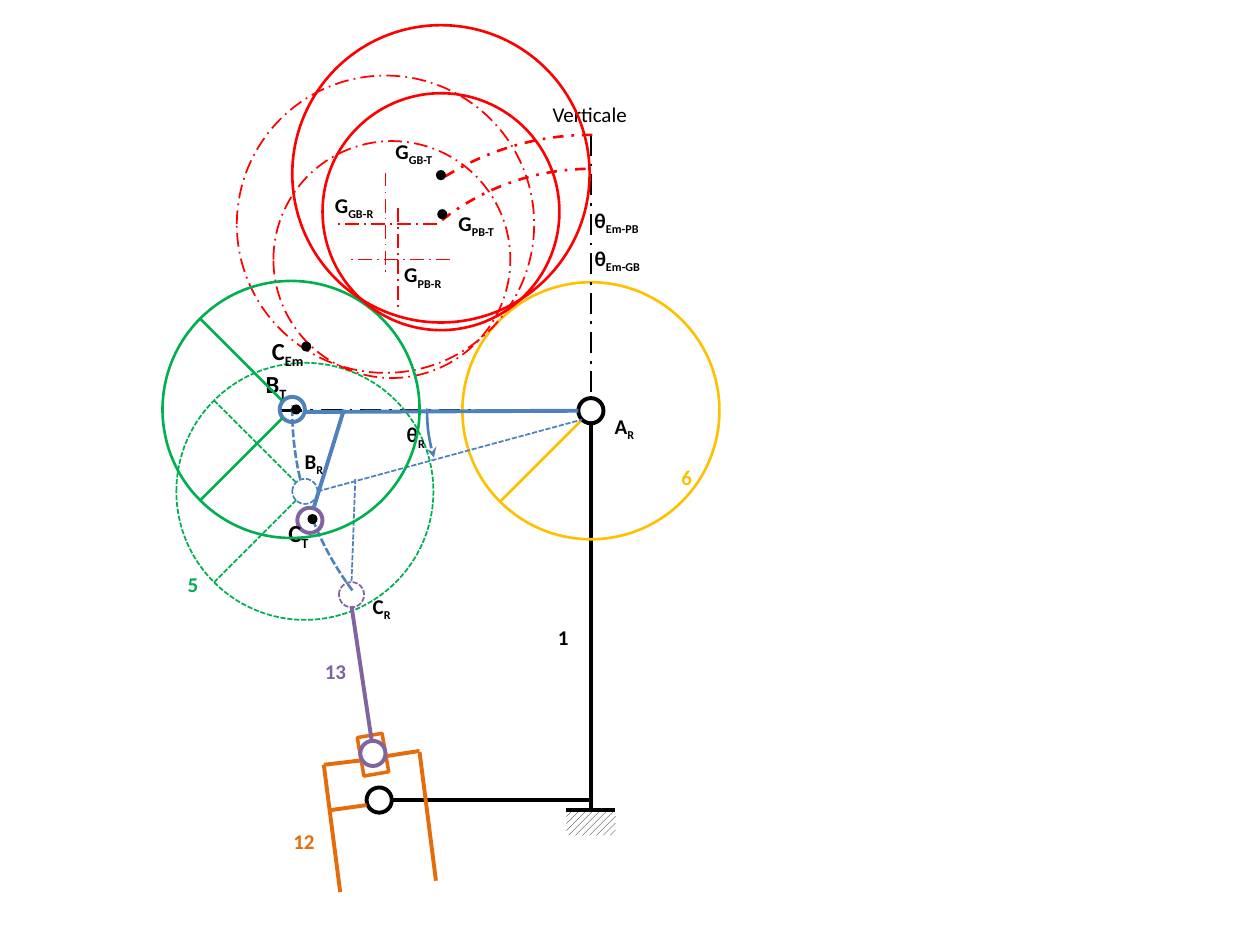
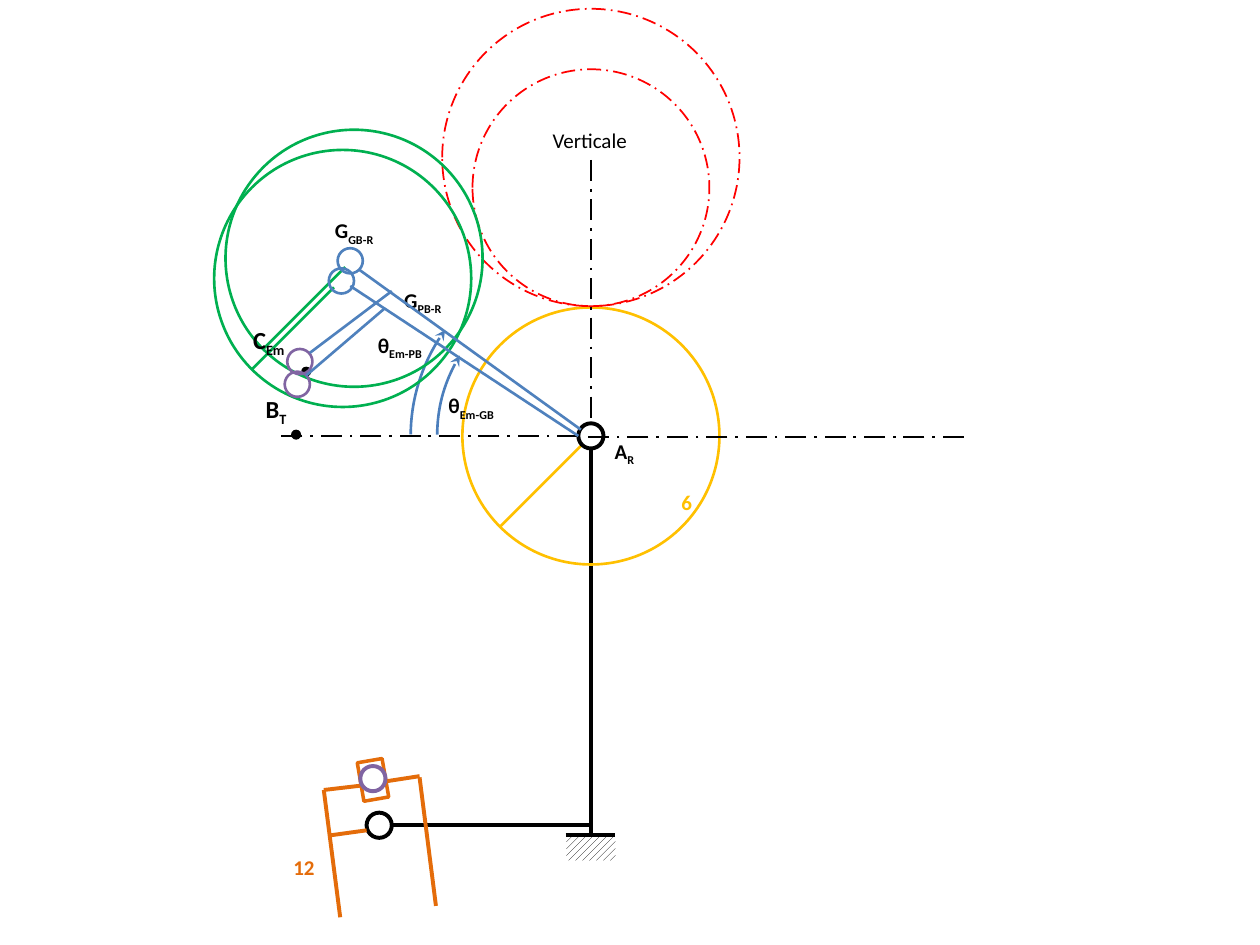
from dataclasses import dataclass

from lxml import etree
from pptx import Presentation
from pptx.dml.color import RGBColor
from pptx.enum.dml import MSO_LINE, MSO_PATTERN
from pptx.enum.shapes import MSO_CONNECTOR, MSO_SHAPE
from pptx.enum.text import MSO_AUTO_SIZE, PP_ALIGN
from pptx.oxml.ns import qn
from pptx.util import Inches, Pt

OVAL, RECT, ARC = MSO_SHAPE.OVAL, MSO_SHAPE.RECTANGLE, MSO_SHAPE.ARC
STRAIGHT = MSO_CONNECTOR.STRAIGHT
HATCH = MSO_PATTERN.WIDE_UPWARD_DIAGONAL
GROW = MSO_AUTO_SIZE.SHAPE_TO_FIT_TEXT
LEFT, CENTER = PP_ALIGN.LEFT, PP_ALIGN.CENTER
SHORT, LONG, MIXED = MSO_LINE.SQUARE_DOT, MSO_LINE.LONG_DASH_DOT, MSO_LINE.DASH_DOT

COLORS = {
    "black": "000000", "white": "FFFFFF", "orange": "E46C0A", "gold": "FFC000",
    "green": "00B050", "purple": "8064A2", "red": "FF0000", "blue": "4F81BD",
    "angle": "4B7EBC",
}
PENS = {
    "bold": {"width": Pt(2.25)},
    "guide": {"width": Pt(2)},
    "plain": {"width": Pt(1.5)},
    "ghost": {"width": Pt(1), "dash_style": SHORT},
    "path": {"width": Pt(1.5), "dash_style": SHORT},
    "thin": {"width": Pt(1), "dash_style": LONG},
    "axis": {"width": Pt(1.5), "dash_style": LONG},
    "swing": {"width": Pt(1.5), "dash_style": MIXED},
}
PIN, DOT, GEAR = 0.1, 0.04, 1.02
SMALL, BIG = 0.94, 1.18


def rgb(name):
    """Return the named colour."""
    return RGBColor.from_string(COLORS[name])


def ink(line, color, pen):
    """Apply a colour and a pen to a line."""
    line.color.rgb = rgb(color)
    for key, value in PENS[pen].items():
        setattr(line, key, value)


@dataclass
class Board:
    """A drawing area measured in inches from the pivot A."""
    shapes: object
    left: float
    top: float

    def spot(self, x, y):
        """Turn a place relative to the pivot into slide lengths."""
        return Inches(self.left + x), Inches(self.top + y)

    def form(self, kind, x, y, wide, high):
        """Add an unfilled shape centred on a point."""
        place = self.spot(x - wide / 2, y - high / 2)
        shape = self.shapes.add_shape(kind, *place, Inches(wide), Inches(high))
        shape.shadow.inherit = False
        shape.fill.background()
        return shape

    def ring(self, x, y, size, color, pen):
        """Add a circle of the given radius."""
        shape = self.form(OVAL, x, y, 2 * size, 2 * size)
        ink(shape.line, color, pen)
        return shape

    def dot(self, x, y):
        """Add a black point."""
        shape = self.form(OVAL, x, y, 2 * DOT, 2 * DOT)
        shape.fill.solid()
        shape.fill.fore_color.rgb = rgb("black")
        shape.line.fill.background()

    def line(self, start, end, color, pen):
        """Add a straight line between two points."""
        item = self.shapes.add_connector(STRAIGHT, *self.spot(*start), *self.spot(*end))
        ink(item.line, color, pen)
        etree.SubElement(item._element.spPr, qn("a:effectLst"))

    def arc(self, size, start, end, color, pen, tip=None):
        """Add an arc about the pivot, angles in degrees."""
        shape = self.form(ARC, 0, 0, 2 * size, 2 * size)
        for index, angle in enumerate((start, end)):
            shape.adjustments[index] = angle * 0.6
        ink(shape.line, color, pen)
        if tip:
            etree.SubElement(shape.line._get_or_add_ln(), qn(f"a:{tip}"), type="stealth")

    def label(self, text, sub, x, y, wide, color="black", size=12, bold=True, align=LEFT):
        """Add a label with an optional subscript."""
        high = 0.3 if size == 12 else 0.34
        box = self.shapes.add_textbox(*self.spot(x, y), Inches(wide), Inches(high))
        frame = box.text_frame
        frame.word_wrap = align == CENTER
        frame.auto_size = GROW
        para = frame.paragraphs[0]
        para.alignment = align
        style = {"name": "Calibri", "size": Pt(size), "bold": bold}
        for part in filter(None, (text, sub)):
            run = para.add_run()
            run.text = part
            for key, value in style.items():
                setattr(run.font, key, value)
            run.font.color.rgb = rgb(color)
            if part == sub:
                run._r.get_or_add_rPr().set("baseline", "-25000")


def gear(board, x, y, sides, color, pen):
    """Draw a wheel with slanted spokes, 1 for down and -1 for up."""
    board.ring(x, y, GEAR, color, pen)
    for side in sides:
        board.line((x - 0.07, y + 0.07 * side), (x - 0.72, y + 0.72 * side), color, pen)


def arm(board, knee, foot, branch, reach, pen):
    """Draw a bent lever with a pin at each free end."""
    board.ring(*knee, PIN, "blue", pen)
    board.ring(*foot, PIN, "purple", pen)
    for ends in (branch, reach):
        board.line(*ends, "blue", pen)


def coils(board, small, big, pen):
    """Draw the small and the big reel."""
    board.ring(*small, SMALL, "red", pen)
    board.ring(*big, BIG, "red", pen)


def cross(board, x, y):
    """Draw centre lines through a point."""
    half = 0.41
    board.line((x, y - half), (x, y + half), "red", "thin")
    board.line((x + half, y), (x - half, y), "red", "thin")


def base(board):
    """Draw the fixed post, its beam and the ground."""
    ground = board.form(RECT, 0, 3.27, 0.39, 0.2)
    ground.fill.patterned()
    ground.fill.pattern = HATCH
    ground.fill.fore_color.rgb = rgb("black")
    ground.fill.back_color.rgb = rgb("white")
    ground.line.fill.background()
    for start, end in (
        ((0, 0.1), (0, 3.17)),
        ((-1.58, 3.09), (0, 3.09)),
        ((-0.2, 3.17), (0.19, 3.17)),
    ):
        board.line(start, end, "black", "bold")
    board.ring(-1.68, 3.09, PIN, "black", "bold")


def guide(board):
    """Draw the slotted guide 12 and its slider."""
    block = board.form(RECT, -1.73, 2.73, 0.31, 0.2)
    block.rotation = 80.2
    ink(block.line, "orange", "guide")
    for start, end in (
        ((-2.12, 2.81), (-1.99, 3.82)),
        ((-1.36, 2.71), (-1.23, 3.73)),
        ((-1.78, 2.77), (-2.12, 2.81)),
        ((-1.36, 2.7), (-1.62, 2.74)),
        ((-1.78, 3.13), (-2.07, 3.17)),
    ):
        board.line(start, end, "orange", "bold")
    pin = board.ring(-1.73, 2.72, PIN, "purple", "bold")
    pin.fill.solid()
    pin.fill.fore_color.rgb = rgb("white")
    board.label("12", "", -2.46, 3.27, 0.37, "orange")


def pivot(board):
    """Draw wheel 6, pin A, the axes and their labels."""
    gear(board, 0, 0, (1,), "gold", "plain")
    board.ring(0, 0, PIN, "black", "bold")
    board.line((0, -2.19), (0, -0.1), "black", "axis")
    board.line((-0.1, 0), (-2.52, 0), "black", "axis")
    board.label("Verticale", "", -0.67, -2.5, 1.32, bold=False, align=CENTER)
    board.label("6", "", 0.62, 0.38, 0.29, "gold")
    board.label("B", "T", -2.68, -0.38, 0.37, size=14)
    for text, sub, x, y, wide in (
        ("A", "R", 0.09, -0.03, 0.37),
        ("G", "PB-R", -1.58, -1.23, 0.53),
        ("G", "GB-R", -2.13, -1.78, 0.54),
    ):
        board.label(text, sub, x, y, wide)


def marks(board, *more):
    """Draw the fixed points and any further ones."""
    for x, y in ((-2.34, -0.01), (-2.26, -0.51), *more):
        board.dot(x, y)


def start(deck, top):
    """Add a slide with the parts common to both states."""
    slide = deck.slides.add_slide(deck.slide_layouts[6])
    board = Board(slide.shapes, 4.69, top)
    for part in (base, guide, pivot):
        part(board)
    return board


def work(deck):
    """Draw the rest and working states."""
    board = start(deck, 3.26)
    gear(board, -2.27, 0.64, (1, -1), "green", "ghost")
    board.line((-1.9, 1.55), (-1.74, 2.62), "purple", "bold")
    coils(board, (-1.58, -1.2), (-1.63, -1.48), "thin")
    cross(board, -1.63, -1.48)
    cross(board, -1.53, -1.2)
    arm(board, (-2.27, 0.64), (-1.9, 1.46), ((-1.87, 0.54), (-1.9, 1.36)),
        ((-2.17, 0.64), (-0.07, 0.07)), "ghost")
    board.arc(1.3, 163.34, 180.76, "angle", "plain", "headEnd")
    for size, first, last, color, pen in (
        (2.37, 166.84, 181.07, "blue", "path"),
        (2.37, 143, 158.68, "blue", "path"),
        (2.19, 238.1, 270.41, "red", "swing"),
        (1.92, 232.03, 270.31, "red", "swing"),
    ):
        board.arc(size, first, last, color, pen)
    arm(board, (-2.37, -0.01), (-2.23, 0.87), ((-1.96, -0.01), (-2.2, 0.77)),
        ((-2.28, 0.01), (-0.1, 0)), "bold")
    for text, x, y, wide, color in (
        ("5", -3.3, 1.23, 0.29, "green"),
        ("1", -0.36, 1.65, 0.29, "black"),
        ("13", -2.21, 1.92, 0.37, "purple"),
    ):
        board.label(text, "", x, y, wide, color)
    for text, sub, x, y, wide in (
        ("C", "R", -1.83, 1.4, 0.35),
        ("B", "R", -2.37, 0.25, 0.36),
        ("θ", "R", -1.56, 0.04, 0.36),
        ("G", "GB-T", -1.65, -2.21, 0.54),
        ("G", "PB-T", -1.15, -1.64, 0.52),
        ("θ", "Em-GB", -0.07, -1.36, 0.61),
        ("θ", "Em-PB", -0.07, -1.66, 0.6),
    ):
        board.label(text, sub, x, y, wide)
    board.label("C", "T", -2.5, 0.8, 0.37, size=14)
    board.label("C", "Em", -2.63, -0.64, 0.48, size=14)
    marks(board, (-1.19, -1.87), (-1.18, -1.56), (-2.21, 0.86))
    gear(board, -2.38, -0.01, (1, -1), "green", "plain")
    coils(board, (-1.19, -1.58), (-1.19, -1.88), "plain")


def load(deck):
    """Draw the reel loading state."""
    board = start(deck, 3.46)
    coils(board, (0, -1.97), (0, -2.21), "thin")
    board.line((2.96, 0.01), (-0.07, 0.01), "black", "axis")
    for size, last in ((1.22, 211.47), (1.43, 216)):
        board.arc(size, 180.5, last, "angle", "plain", "tailEnd")
    marks(board)
    for x, y in ((-1.88, -1.41), (-1.97, -1.25)):
        gear(board, x, y, (1,), "green", "plain")
    arm(board, (-1.91, -1.39), (-2.31, -0.59), ((-1.58, -1.15), (-2.23, -0.66)),
        ((-1.84, -1.32), (-0.08, -0.05)), "plain")
    arm(board, (-1.98, -1.23), (-2.33, -0.41), ((-1.64, -1.01), (-2.26, -0.48)),
        ((-1.91, -1.19), (-0.1, 0)), "plain")
    board.label("θ", "Em-GB", -1.23, -0.39, 0.61)
    board.label("θ", "Em-PB", -1.79, -0.87, 0.6)
    board.label("C", "Em", -2.78, -0.93, 0.48, size=14)


def main():
    """Build the deck."""
    deck = Presentation()
    deck.slide_width, deck.slide_height = Inches(10), Inches(7.5)
    work(deck)
    load(deck)
    deck.save("out.pptx")


if __name__ == "__main__":
    main()
